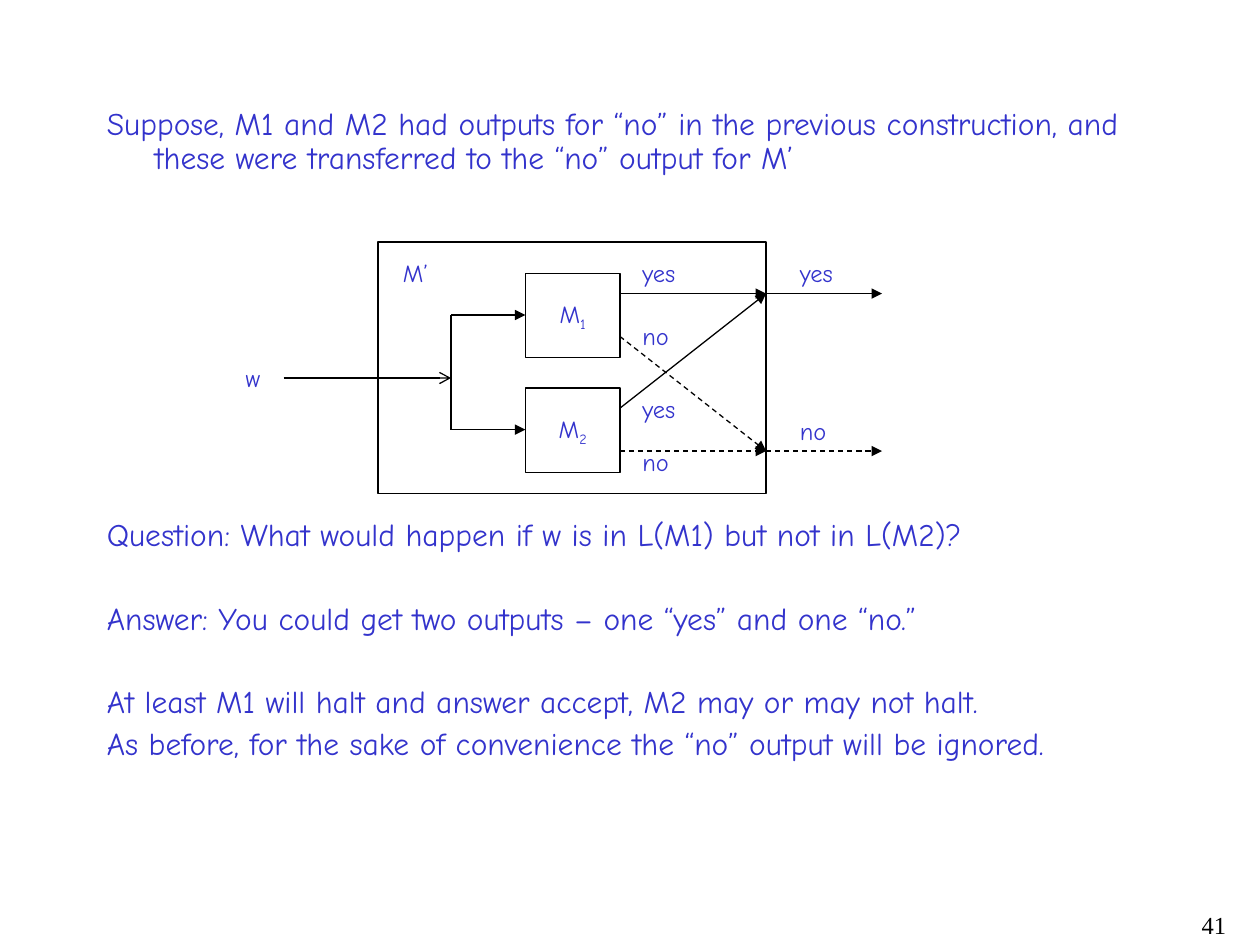
from pptx import Presentation
from pptx import util as u
from pptx.dml.color import RGBColor
from pptx.enum import dml, shapes, text
from pptx.oxml.ns import qn
from lxml import etree

HEX = {"ink": "3333CC", "line": "000000"}
FONT = "Comic Neue"


def color(name):
    return RGBColor.from_string(HEX[name])


def style(para, size, font=FONT, tint="ink"):
    for run in para.runs:
        run.font.size = u.Pt(size)
        run.font.name = font
        run.font.color.rgb = color(tint)


def add_box(slide, x, y, w, h, wrap=True):
    box = slide.shapes.add_textbox(*map(u.Inches, (x, y, w, h)))
    box.text_frame.word_wrap = wrap
    return box.text_frame


def add_label(slide, x, y, words, width):
    frame = add_box(slide, x, y, width, 0.34, wrap=False)
    frame.text = words
    style(frame.paragraphs[0], 14)


def add_frame(slide, x, y, w, h):
    """Draw an unfilled, outlined rectangle."""
    rect = slide.shapes.add_shape(
        shapes.MSO_SHAPE.RECTANGLE, *map(u.Inches, (x, y, w, h)))
    rect.shadow.inherit = False
    rect.fill.background()
    rect.line.color.rgb = color("line")
    rect.line.width = u.Pt(0.75)
    return rect


def add_line(slide, start, end, head="triangle", dash=False):
    line = slide.shapes.add_connector(
        shapes.MSO_CONNECTOR.STRAIGHT, *map(u.Inches, (*start, *end)))
    line.line.color.rgb = color("line")
    line.line.width = u.Pt(0.75)
    if dash:
        line.line.dash_style = dml.MSO_LINE.DASH
    props = line._element.spPr
    if head:
        etree.SubElement(props.find(qn("a:ln")), qn("a:tailEnd"), type=head)
    etree.SubElement(props, qn("a:effectLst"))


def add_prose(slide, x, y, w, h, items):
    """Place hanging paragraphs, given as (space before, words)."""
    frame = add_box(slide, x, y, w, h)
    for i, (gap, words) in enumerate(items):
        para = frame.add_paragraph() if i else frame.paragraphs[0]
        props = para._p.get_or_add_pPr()
        props.set("marL", str(u.Inches(0.38)))
        props.set("indent", str(u.Inches(-0.38)))
        para.text = words
        para.line_spacing = 0.9
        para.space_before = u.Pt(gap)
        style(para, 18)


def add_machine(slide, x, y, w, h, index):
    frame = add_frame(slide, x, y, w, h).text_frame
    frame.margin_left = frame.margin_right = 0
    frame.vertical_anchor = text.MSO_ANCHOR.MIDDLE
    para = frame.paragraphs[0]
    para.alignment = text.PP_ALIGN.CENTER
    para.add_run().text = "M"
    sub = para.add_run()
    sub.text = index
    style(para, 14)
    sub.font._element.set("baseline", "-25000")


def add_diagram(slide, x, y, w, h):
    """Draw M' in the given box, with its input and outputs beside it."""
    add_frame(slide, x, y, w, h)
    add_label(slide, x + 0.1, y + 0.08, "M’", 0.4)
    add_label(slide, x - 1.15, y + 0.91, "w", 0.31)

    fork, left, wide, tall = x + 0.58, x + 1.17, 0.75, 0.67
    right, edge = left + wide, x + w
    tops = (y + 0.25, y + 1.16)
    entries = [top + 0.33 for top in tops]
    outs = {"yes": tops[0] + 0.16, "no": tops[1] + 0.5}

    add_line(slide, (x - 0.75, y + 1.08), (fork, y + 1.08), "arrow")
    add_line(slide, (fork, entries[0]), (fork, entries[1]), None)
    for index, top, entry in zip("12", tops, entries):
        add_machine(slide, left, top, wide, tall, index)
        add_line(slide, (fork, entry), (left, entry))
        for word, drop in (("yes", 0.16), ("no", 0.5)):
            add_line(slide, (right, top + drop), (edge, outs[word]),
                     dash=word == "no")
    for word, level in outs.items():
        add_line(slide, (edge, level), (edge + 0.92, level),
                 dash=word == "no")
        add_label(slide, edge + 0.17, level - 0.33, word, 0.46)
    for word, drop in (("yes", 0.08), ("no", 0.58),
                       ("yes", 1.16), ("no", 1.58)):
        add_label(slide, right + 0.08, y + drop, word, 0.46)


def add_number(slide, x, y, w, h, number):
    frame = add_box(slide, x, y, w, h)
    frame.text = number
    para = frame.paragraphs[0]
    para.alignment = text.PP_ALIGN.RIGHT
    style(para, 14, "Times New Roman", "line")


def main():
    deck = Presentation()
    deck.slide_width, deck.slide_height = u.Inches(10), u.Inches(7.5)
    slide = deck.slides.add_slide(deck.slide_layouts[6])
    add_prose(slide, 0.75, 0.81, 8.5, 0.7, [
        (0, "Suppose, M1 and M2 had outputs for “no” in the previous "
            "construction, and these were transferred to the “no” output "
            "for M’")])
    add_diagram(slide, 3, 1.92, 3.08, 2)
    add_prose(slide, 0.75, 4.07, 8.5, 2.1, [
        (0, "Question: What would happen if w is in L(M1) but not in L(M2)?"),
        (28.5, "Answer: You could get two outputs – one “yes” and one “no.”"),
        (28.5, "At least M1 will halt and answer accept, M2 may or may not "
               "halt."),
        (4.5, "As before, for the sake of convenience the “no” output will "
              "be ignored.")])
    add_number(slide, 7.75, 7.17, 2.08, 0.33, "41")
    deck.save("out.pptx")


if __name__ == "__main__":
    main()
